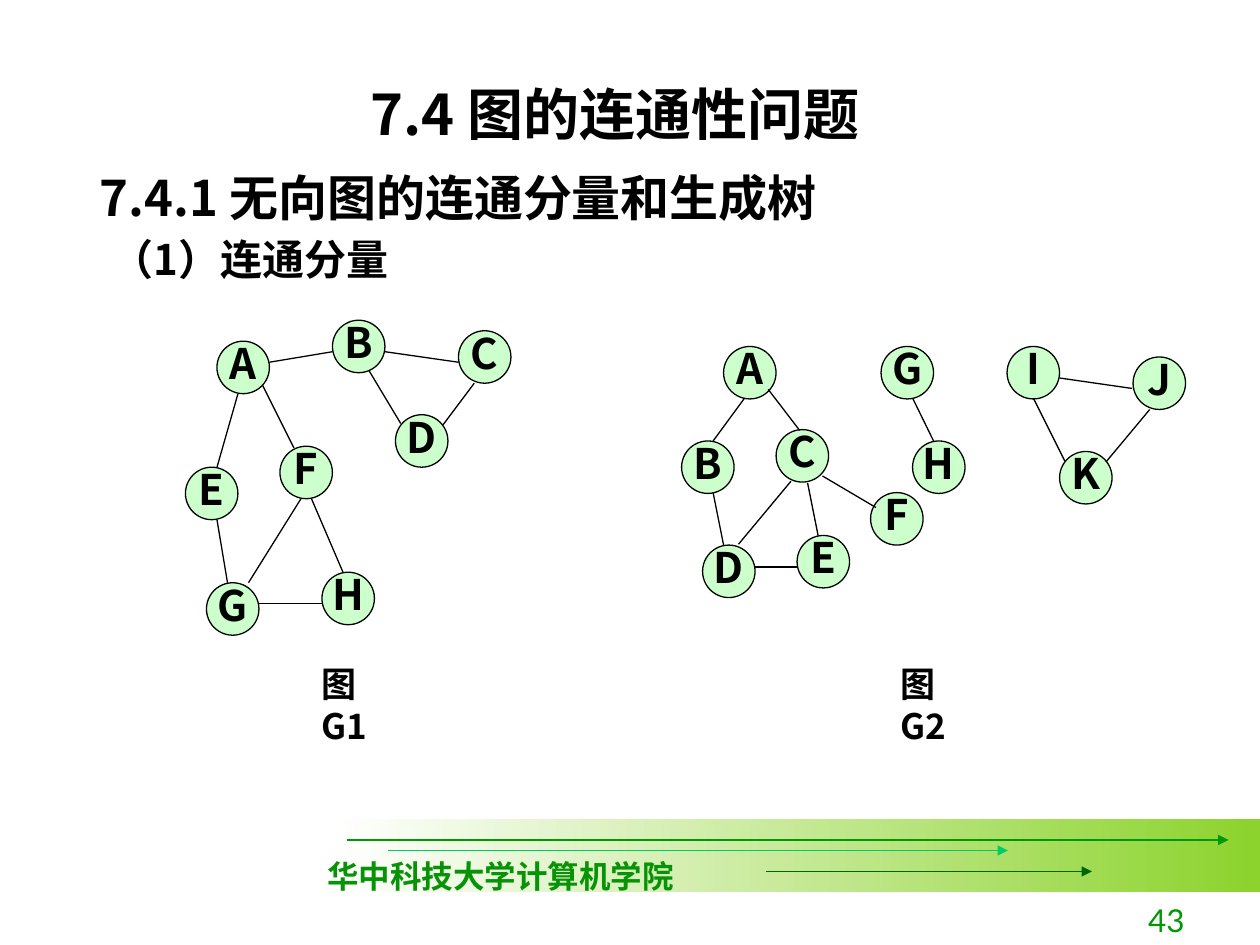
"""Build the slide on connected components of undirected graphs."""
from typing import NamedTuple

from lxml import etree
from pptx import Presentation
from pptx.dml.color import RGBColor
from pptx.enum.shapes import MSO_CONNECTOR, MSO_SHAPE
from pptx.enum.text import MSO_ANCHOR, PP_ALIGN
from pptx.oxml.ns import qn
from pptx.util import Pt

LINE = MSO_CONNECTOR.STRAIGHT
RECT, OVAL = MSO_SHAPE.RECTANGLE, MSO_SHAPE.OVAL
LEFT, MID, RIGHT = PP_ALIGN.LEFT, PP_ALIGN.CENTER, PP_ALIGN.RIGHT
TOP, CENTER, BOTTOM = MSO_ANCHOR.TOP, MSO_ANCHOR.MIDDLE, MSO_ANCHOR.BOTTOM
BLACK = RGBColor(0, 0, 0)
WHITE = RGBColor(255, 255, 255)
MINT = RGBColor(0xCC, 0xFF, 0xCC)
LIME = RGBColor(0x8C, 0xD3, 0x2D)
GREEN = RGBColor(0, 0x99, 0)
JADE = RGBColor(0, 0xCC, 0x66)
DARK = RGBColor(0, 0x66, 0)
LEAF = RGBColor(0x06, 0x94, 0x06)
SANS = "Noto Sans CJK SC"
SIZE = 30


class Node(NamedTuple):
    name: str
    x: float
    y: float


class Edge(NamedTuple):
    x1: float
    y1: float
    x2: float
    y2: float
    color: RGBColor = BLACK
    arrow: bool = False


class Label(NamedTuple):
    text: str
    x: float
    y: float
    w: float
    h: float
    size: float
    font: str = SANS
    color: RGBColor = BLACK
    bold: bool = True
    align: PP_ALIGN = LEFT
    anchor: MSO_ANCHOR = TOP
    wrap: bool = True


class Line(NamedTuple):
    text: str
    size: float
    align: PP_ALIGN
    indent: float
    gap: float


NODES = [
    Node("A", 124, 195), Node("B", 190, 183), Node("C", 262, 189),
    Node("D", 226, 237), Node("E", 106, 267), Node("F", 160, 255),
    Node("G", 118, 333), Node("H", 184, 327),
    Node("A", 413.5, 198), Node("B", 389.5, 252), Node("C", 443.5, 245.5),
    Node("D", 401.5, 311.5), Node("E", 455.5, 306), Node("F", 497.5, 281.5),
    Node("G", 503.5, 198), Node("H", 521.5, 252),
    Node("I", 575.5, 198), Node("J", 647.5, 204), Node("K", 605.5, 258),
]
EDGES = [
    Edge(253, 243, 271, 219), Edge(262, 207, 220, 201),
    Edge(229, 242, 211, 212), Edge(150, 220, 168, 256),
    Edge(154, 207, 190, 201), Edge(148, 345, 184, 345),
    Edge(196, 327, 178, 285), Edge(142, 333, 172, 285),
    Edge(136, 225, 124, 267), Edge(124, 297, 130, 333),
    Edge(632, 264, 657, 234), Edge(647, 222, 605.5, 216),
    Edge(608.5, 263.5, 590.5, 227.5), Edge(439, 222.5, 457, 246),
    Edge(431.5, 324, 456, 324), Edge(467.5, 306, 461.5, 276),
    Edge(422, 311, 452, 275), Edge(425.5, 227.5, 407.5, 252),
    Edge(407.5, 281.5, 413.5, 311.5), Edge(470, 272, 500.5, 290),
    Edge(521.5, 227.5, 533.5, 252),
]
ARROWS = [
    Edge(198, 480, 702, 480, GREEN, True),
    Edge(222, 486, 576, 486, JADE, True),
    Edge(438, 498, 624, 498, DARK, True),
]
LABELS = [
    Label("华中科技大学计算机学院", 180, 486, 212.5, 29, 18,
          "Times New Roman", LEAF, wrap=False),
    Label("43", 534, 504, 150, 36, 18, "Lato", GREEN, False, RIGHT, BOTTOM),
    Label("图G1", 176.5, 375, 58.5, 31, 20),
    Label("图G2", 507.5, 375, 57, 31, 20),
]
HEADS = [
    Line("7.4 图的连通性问题", 32, MID, 0, 0),
    Line("7.4.1 无向图的连通分量和生成树", 28, LEFT, 19, 12),
    Line("（1）连通分量", 24, LEFT, 25.5, 4),
]


def style(para, size: float, font: str, color: RGBColor, bold: bool) -> None:
    for run in para.runs:
        run.font.size = Pt(size)
        run.font.name = font
        run.font.bold = bold
        run.font.color.rgb = color
        asian = etree.SubElement(run.font._element, qn("a:ea"))
        asian.set("typeface", SANS)


def add_band(shapes) -> None:
    band = shapes.add_shape(RECT, Pt(192), Pt(468), Pt(528), Pt(42))
    band.shadow.inherit = False
    band.line.fill.background()
    band.fill.gradient()
    band.fill.gradient_angle = 0
    for stop, color in zip(band.fill.gradient_stops, (WHITE, LIME)):
        stop.color.rgb = color


def add_edge(shapes, edge: Edge) -> None:
    line = shapes.add_connector(LINE, *(Pt(n) for n in edge[:4]))
    line.line.color.rgb = edge.color
    line.line.width = Pt(0.75)
    if edge.arrow:
        tail = etree.SubElement(line.line._get_or_add_ln(), qn("a:tailEnd"))
        tail.set("type", "triangle")
    etree.SubElement(line._element.spPr, qn("a:effectLst"))


def add_node(shapes, node: Node) -> None:
    oval = shapes.add_shape(OVAL, Pt(node.x), Pt(node.y), Pt(SIZE), Pt(SIZE))
    oval.shadow.inherit = False
    oval.fill.solid()
    oval.fill.fore_color.rgb = MINT
    oval.line.color.rgb = BLACK
    oval.line.width = Pt(0.75)
    frame = oval.text_frame
    frame.word_wrap = False
    frame.vertical_anchor = CENTER
    frame.text = node.name
    para = frame.paragraphs[0]
    para.alignment = MID
    para.line_spacing = 0.8
    style(para, 24, SANS, BLACK, True)


def add_label(shapes, label: Label) -> None:
    box = shapes.add_textbox(*(Pt(n) for n in label[1:5]))
    frame = box.text_frame
    frame.word_wrap = label.wrap
    frame.vertical_anchor = label.anchor
    frame.text = label.text
    para = frame.paragraphs[0]
    para.alignment = label.align
    style(para, label.size, label.font, label.color, label.bold)


def add_heads(shapes, heads: list[Line]) -> None:
    frame = shapes.add_textbox(Pt(31), Pt(42), Pt(641), Pt(126)).text_frame
    frame.word_wrap = True
    frame.text = "\n".join(head.text for head in heads)
    for para, head in zip(frame.paragraphs, heads):
        para.alignment = head.align
        para.space_before = Pt(head.gap)
        para._p.get_or_add_pPr().set("marL", str(Pt(head.indent)))
        style(para, head.size, SANS, BLACK, True)


def main() -> None:
    deck = Presentation()
    deck.slide_width, deck.slide_height = Pt(720), Pt(540)
    shapes = deck.slides.add_slide(deck.slide_layouts[6]).shapes
    add_band(shapes)
    for node in NODES:
        add_node(shapes, node)
    for edge in ARROWS + EDGES:
        add_edge(shapes, edge)
    for label in LABELS:
        add_label(shapes, label)
    add_heads(shapes, HEADS)
    deck.save("out.pptx")


if __name__ == "__main__":
    main()
